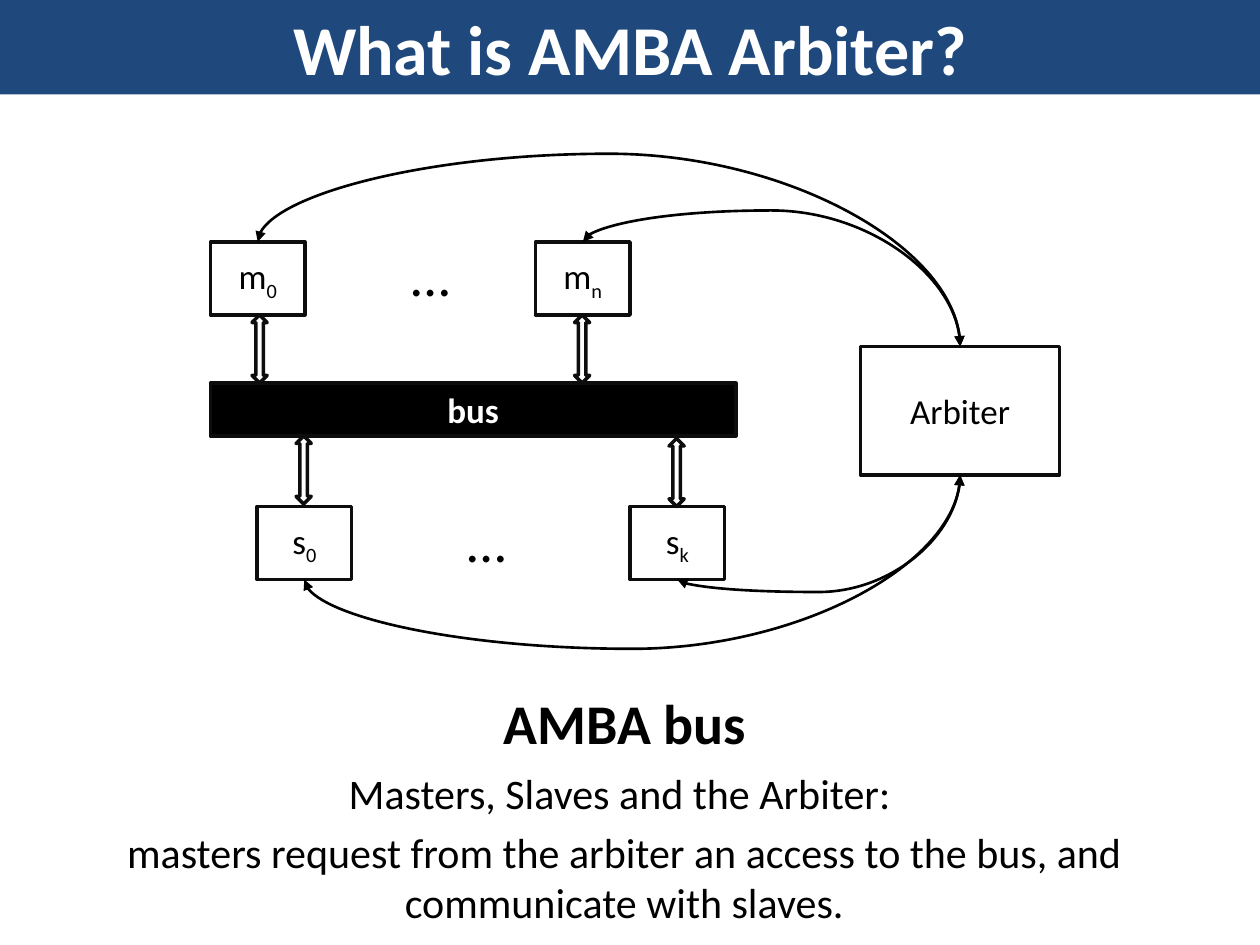
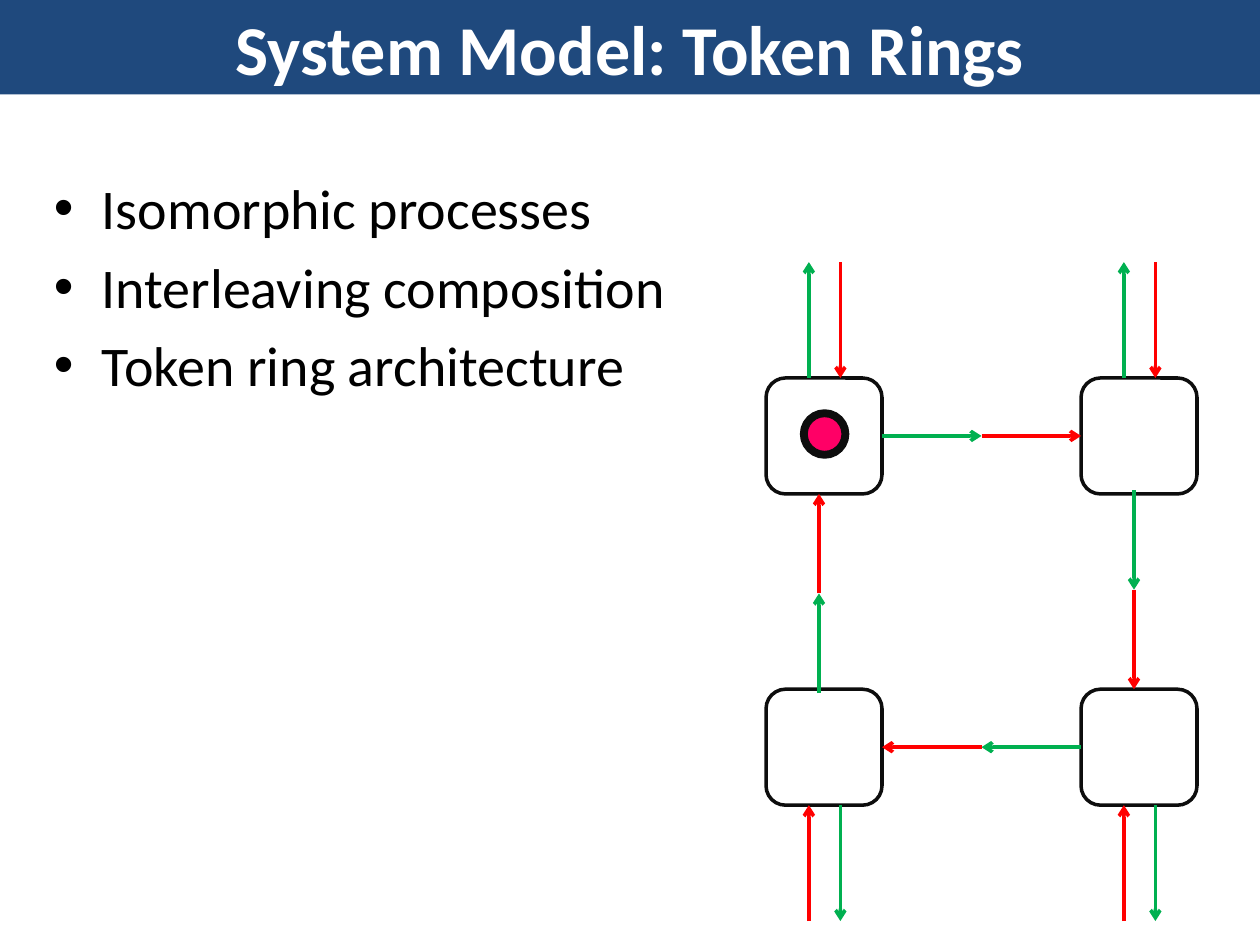
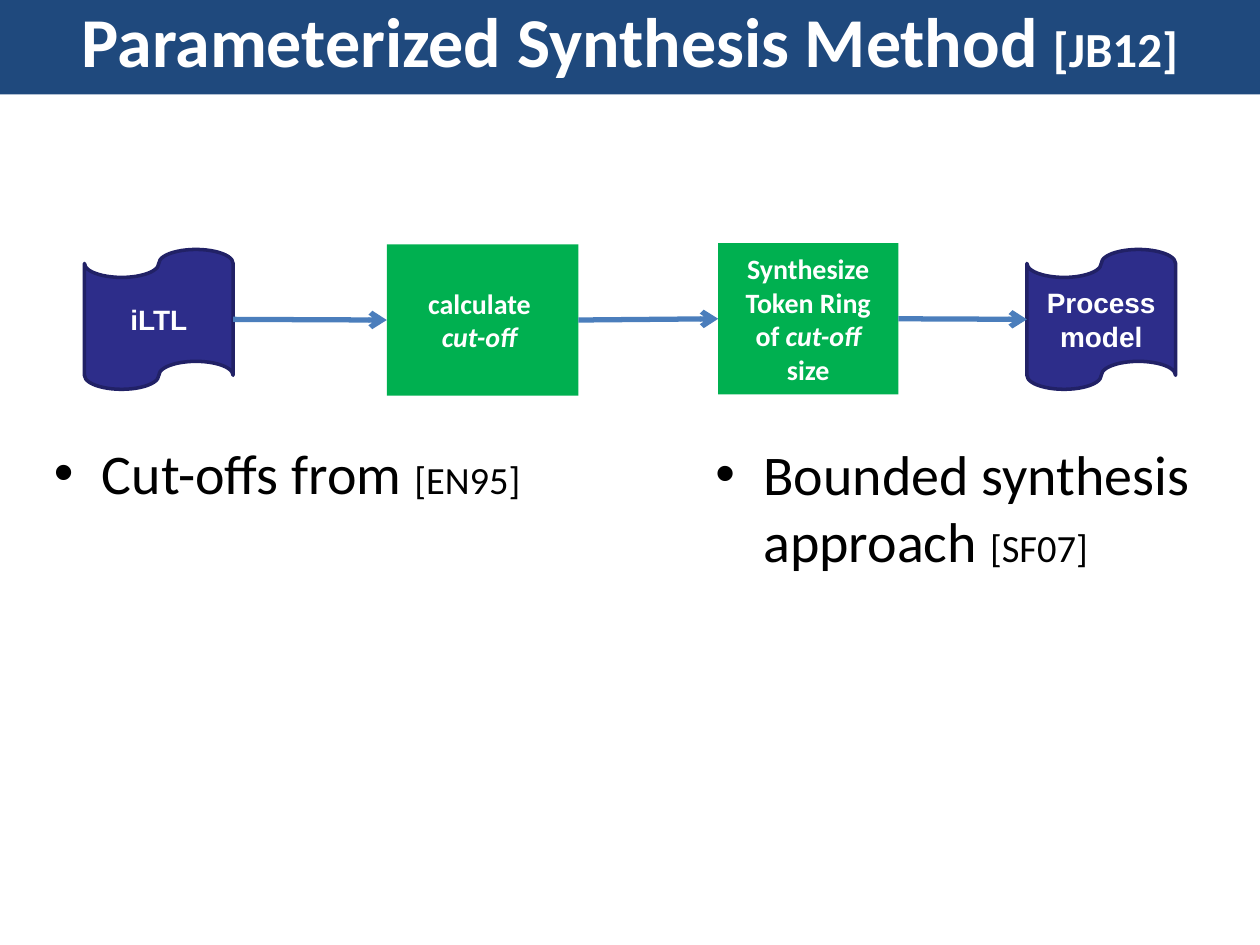
from lxml import etree
from pptx import Presentation
from pptx.dml.color import RGBColor
from pptx.enum.shapes import MSO_CONNECTOR, MSO_SHAPE
from pptx.enum.text import MSO_ANCHOR, PP_ALIGN
from pptx.oxml.ns import qn
from pptx.util import Inches, Pt

RECT, ROUNDED, OVAL = MSO_SHAPE.RECTANGLE, MSO_SHAPE.ROUNDED_RECTANGLE, MSO_SHAPE.OVAL
TAPE, BUS_ARROW = MSO_SHAPE.FLOWCHART_PUNCHED_TAPE, MSO_SHAPE.UP_DOWN_ARROW
STRAIGHT, CURVE = MSO_CONNECTOR.STRAIGHT, MSO_CONNECTOR.CURVE
TOP_ANCHOR, MIDDLE, BOTTOM_ANCHOR = MSO_ANCHOR.TOP, MSO_ANCHOR.MIDDLE, MSO_ANCHOR.BOTTOM
LEFT_ALIGN, CENTER = PP_ALIGN.LEFT, PP_ALIGN.CENTER
TOP, LEFT, BOTTOM, RIGHT = range(4)  # connection sites

NAVY = RGBColor(0x1F, 0x49, 0x7D)
WHITE = RGBColor(0xFF, 0xFF, 0xFF)
BLACK = RGBColor(0, 0, 0)
OUTLINE = RGBColor(0x0D, 0x0D, 0x0D)
GREEN = RGBColor(0x00, 0xB0, 0x50)
RED = RGBColor(0xFF, 0, 0)
TOKEN_PINK = RGBColor(0xFF, 0, 0x66)
INDIGO = RGBColor(0x2D, 0x2D, 0x8A)
INDIGO_EDGE = RGBColor(0x21, 0x21, 0x66)
FLOW_BLUE = RGBColor(0x4B, 0x7E, 0xBC)

SLIDE_W, SLIDE_H = 10, 7.5
TITLE_H = SLIDE_H / 10
DEFAULT_INSETS = (0.1, 0.05, 0.1, 0.05)
TIGHT = (0.01,) * 4
SUB = {"baseline": -25}

# ---- Content: a paragraph is a list of (text, format changes) runs ----
ARBITER_TITLE = [[("What is AMBA Arbiter?", {})]]
MASTERS = [("m", "0", 1.67), ("m", "n", 4.25)]
SLAVES = [("s", "0", 2.04), ("s", "k", 5)]
NODE_W, NODE_H, MASTER_Y, SLAVE_Y = 0.75, 0.58, 1.92, 4.02
ARBITER_BOX = (6.83, 2.75, 1.58, 1.02)
BUS_BOX = (1.67, 3.04, 4.17, 0.42)
BUS_ARROWS = [(2, 2.5), (4.56, 2.5), (2.35, 3.46), (5.31, 3.48)]
ELLIPSES = [(3.17, 1.86), (3.61, 3.97)]
MASTER_BULGES, SLAVE_BULGES = [0.7, 0.25], [0.55, 0.1]
BUS_CAPTION = [[("AMBA bus", {})]]
BUS_NOTE = [
    [("Masters, Slaves and the Arbiter: ", {})],
    [("masters request from the arbiter an access to the bus, "
      "and communicate with slaves.", {})],
]

RING_TITLE = [[("System Model: Token Rings", {})]]
RING_POINTS = [[(point, {})] for point in
               ("Isomorphic processes", "Interleaving composition", "Token ring architecture")]
RING_COLUMNS, RING_ROWS, PROCESS_SIDE = (6.08, 8.58), (3, 5.47), 0.92
STUB_LEFT, STUB_RIGHT, STUB_LENGTH = 0.34, 0.59, 0.92

METHOD_TITLE = [[("Parameterized Synthesis Method", {}), (" ", {"size": 38}),
                 ("[JB12]", {"size": 28})]]
METHOD_POINTS = [
    ((0.33, 3.43, 9.33, 5.5), [[("Cut-offs from ", {}), ("[EN95]", {"size": 22})]]),
    ((5.58, 3.44, 4.42, 3.26), [[("Bounded synthesis approach ", {}), ("[SF07]", {"size": 22})]]),
]
TAPE_STYLE = {"preset": TAPE, "fill": INDIGO, "line": INDIGO_EDGE}
STEP_STYLE = {"preset": RECT, "fill": GREEN}
FLOW = [
    ((0.67, 1.98, 1.18, 1.11), TAPE_STYLE, "Arial", [[("iLTL", {})]]),
    ((3.07, 1.94, 1.52, 1.2), STEP_STYLE, "Calibri",
     [[("calculate ", {})], [("cut-off ", {"italic": True})]]),
    ((5.7, 1.93, 1.43, 1.2), STEP_STYLE, "Calibri",
     [[("Synthesize Token Ring", {})],
      [("of ", {}), ("cut-off", {"italic": True})], [("size", {})]]),
    ((8.15, 1.98, 1.18, 1.11), TAPE_STYLE, "Arial", [[("Process model", {})]]),
]


# ---- Shared drawing helpers ----
def write(shape, paragraphs, size=20, color=BLACK, bold=False, font="Calibri", align=CENTER,
          anchor=MIDDLE, insets=DEFAULT_INSETS, wrap=True, spaced=False, bullet=False):
    frame = shape.text_frame
    frame.word_wrap, frame.vertical_anchor = wrap, anchor
    for side, inset in zip(("left", "top", "right", "bottom"), insets):
        setattr(frame, f"margin_{side}", Inches(inset))
    for index, runs in enumerate(paragraphs):
        paragraph = frame.add_paragraph() if index else frame.paragraphs[0]
        paragraph.alignment = align
        if spaced:
            paragraph.space_before = Pt(0.2 * size)
        if bullet:
            props = paragraph._p.get_or_add_pPr()
            props.set("marL", str(Inches(0.38)))
            props.set("indent", str(Inches(-0.38)))
            etree.SubElement(props, qn("a:buFont")).set("typeface", "Arial")
            etree.SubElement(props, qn("a:buChar")).set("char", "•")
        for text, changes in runs:
            run = paragraph.add_run()
            run.text = text
            look = {"size": size, "bold": bold, "name": font, "italic": False, **changes}
            baseline = look.pop("baseline", None)
            look["size"] = Pt(look["size"])
            for name, value in look.items():
                setattr(run.font, name, value)
            run.font.color.rgb = color
            if baseline:
                run._r.get_or_add_rPr().set("baseline", str(baseline * 1000))


def add_box(slide, at, preset=RECT, fill=None, line=OUTLINE, width=2):
    box = slide.shapes.add_shape(preset, *map(Inches, at))
    box.shadow.inherit = False
    if fill is None:
        box.fill.background()
    else:
        box.fill.solid()
        box.fill.fore_color.rgb = fill
    if line is None:
        box.line.fill.background()
    else:
        box.line.color.rgb = line
        box.line.width = Pt(width)
    return box


def add_text(slide, at, paragraphs, **style):
    write(slide.shapes.add_textbox(*map(Inches, at)), paragraphs, **style)


def add_points(slide, at, points):
    add_text(slide, at, points, size=32, align=LEFT_ALIGN, anchor=TOP_ANCHOR,
             spaced=True, bullet=True)


def add_arrow(slide, start, end, color, width=2, kind=STRAIGHT, ends=(("tailEnd", "arrow"),)):
    arrow = slide.shapes.add_connector(kind, *map(Inches, (*start, *end)))
    arrow.line.color.rgb = color
    arrow.line.width = Pt(width)
    for tag, head in ends:
        etree.SubElement(arrow.line._get_or_add_ln(), qn(f"a:{tag}")).set("type", head)
    etree.SubElement(arrow._element.spPr, qn("a:effectLst"))
    return arrow


def add_arc(slide, start, end, bulge, turn, flips):
    """Curve that leaves both ends vertically and swings out by bulge beyond its start."""
    arc = add_arrow(slide, start, end, BLACK, 1.5, CURVE,
                    (("headEnd", "triangle"), ("tailEnd", "triangle")))
    span, rise = end[0] - start[0], abs(end[1] - start[1])
    arc.left, arc.top = (Inches((start[0] + end[0] - rise) / 2),
                         Inches((start[1] + end[1] - span) / 2))
    arc.width, arc.height = Inches(rise), Inches(span)
    frame = arc._element.spPr.find(qn("a:xfrm"))
    for flip in ("flipH", "flipV"):
        frame.set(flip, str(int(flip in flips)))
    frame.set("rot", str(turn * 60000))
    geometry = arc._element.spPr.find(qn("a:prstGeom"))
    guides = geometry.find(qn("a:avLst"))
    if guides is None:
        guides = etree.SubElement(geometry, qn("a:avLst"))
    guide = etree.SubElement(guides, qn("a:gd"))
    guide.set("name", "adj1")
    guide.set("fmla", f"val {round(-bulge / rise * 100000)}")


def new_slide(deck, title, top=0, **style):
    slide = deck.slides.add_slide(deck.slide_layouts[6])
    band = add_box(slide, (0, top, SLIDE_W, TITLE_H - top), fill=NAVY, line=None)
    write(band, title, size=40, color=WHITE, bold=True, **style)
    return slide


# ---- Slides ----
def arbiter_slide(deck):
    slide = new_slide(deck, ARBITER_TITLE)
    for nodes, y in ((MASTERS, MASTER_Y), (SLAVES, SLAVE_Y)):
        for letter, index, x in nodes:
            node = add_box(slide, (x, y, NODE_W, NODE_H))
            write(node, [[(letter, {}), (index, SUB)]], insets=TIGHT)
    write(add_box(slide, ARBITER_BOX), [[("Arbiter", {})]], insets=TIGHT)
    write(add_box(slide, BUS_BOX, fill=BLACK), [[("bus", {})]],
          color=WHITE, bold=True, insets=TIGHT)
    for x, y in BUS_ARROWS:
        add_box(slide, (x, y, 0.12, 0.54), BUS_ARROW)
    for x, y in ELLIPSES:
        add_text(slide, (x, y, 0.51, 0.64), [[("…", {})]], size=32,
                 align=LEFT_ALIGN, anchor=TOP_ANCHOR, wrap=False)

    # Request curves between each node and the arbiter
    left, top, width, height = ARBITER_BOX
    arbiter_x = left + width / 2
    for (_, _, x), bulge in zip(MASTERS, MASTER_BULGES):
        add_arc(slide, (x + NODE_W / 2, MASTER_Y), (arbiter_x, top), bulge, 270, ("flipH",))
    for (_, _, x), bulge in zip(SLAVES, SLAVE_BULGES):
        add_arc(slide, (x + NODE_W / 2, SLAVE_Y + NODE_H), (arbiter_x, top + height),
                bulge, 90, ("flipH", "flipV"))

    add_text(slide, (1.96, 5.42, 6, 0.62), BUS_CAPTION, size=32, bold=True)
    add_text(slide, (0.22, 6.04, 9.47, 2.38), BUS_NOTE, size=24,
             anchor=TOP_ANCHOR, spaced=True)


def ring_slide(deck):
    slide = new_slide(deck, RING_TITLE)
    add_points(slide, (0.33, 1.33, 9.33, 5.5), RING_POINTS)
    (west, east), (north, south) = RING_COLUMNS, RING_ROWS
    process = {(x, y): add_box(slide, (x, y, PROCESS_SIDE, PROCESS_SIDE), ROUNDED)
               for x in RING_COLUMNS for y in RING_ROWS}

    # Stubs leading to the rest of the ring
    bottom = south + PROCESS_SIDE
    for x in RING_COLUMNS:
        for offset, start, end, color in (
                (STUB_RIGHT, north - STUB_LENGTH, north, RED),
                (STUB_LEFT, north, north - STUB_LENGTH, GREEN),
                (STUB_RIGHT, bottom, bottom + STUB_LENGTH, GREEN),
                (STUB_LEFT, bottom + STUB_LENGTH, bottom, RED)):
            add_arrow(slide, (x + offset, start), (x + offset, end), color)

    # Clockwise links: a green send half, then a red receive half
    inner_x, middle = west + PROCESS_SIDE, PROCESS_SIDE / 2
    inner_y, overlap = north + PROCESS_SIDE, 0.03
    links = [
        ((inner_x, north + middle), (east, north + middle),
         ((west, north), RIGHT, (east, north), LEFT)),
        ((east + 0.42, inner_y - overlap), (east + 0.42, south), None),
        ((east, south + middle), (inner_x, south + middle),
         ((east, south), LEFT, (west, south), RIGHT)),
        ((west + 0.42, south + overlap), (west + 0.42, inner_y), None),
    ]
    for start, end, joint in links:
        halfway = tuple((a + b) / 2 for a, b in zip(start, end))
        send = add_arrow(slide, start, halfway, GREEN)
        receive = add_arrow(slide, halfway, end, RED)
        if joint:
            sender, exit_site, receiver, entry_site = joint
            send.begin_connect(process[sender], exit_site)
            receive.end_connect(process[receiver], entry_site)

    add_box(slide, (6.38, 3.28, 0.33, 0.33), OVAL, TOKEN_PINK, width=4.5)


def method_slide(deck):
    slide = new_slide(deck, METHOD_TITLE, top=-0.13, anchor=BOTTOM_ANCHOR, insets=(0.1,) * 4)
    for at, points in METHOD_POINTS:
        add_points(slide, at, points)
    steps = []
    for at, style, font, label in FLOW:
        step = add_box(slide, at, **{"line": None, **style})
        write(step, label, size=16, color=WHITE, bold=True, font=font)
        steps.append(step)
    for before, after in zip(steps, steps[1:]):
        arrow = add_arrow(slide, (0, 0), (1, 0), FLOW_BLUE, 3)
        arrow.begin_connect(before, RIGHT)
        arrow.end_connect(after, LEFT)


def main():
    deck = Presentation()
    deck.slide_width, deck.slide_height = Inches(SLIDE_W), Inches(SLIDE_H)
    for build in (arbiter_slide, ring_slide, method_slide):
        build(deck)
    deck.save("out.pptx")


if __name__ == "__main__":
    main()
